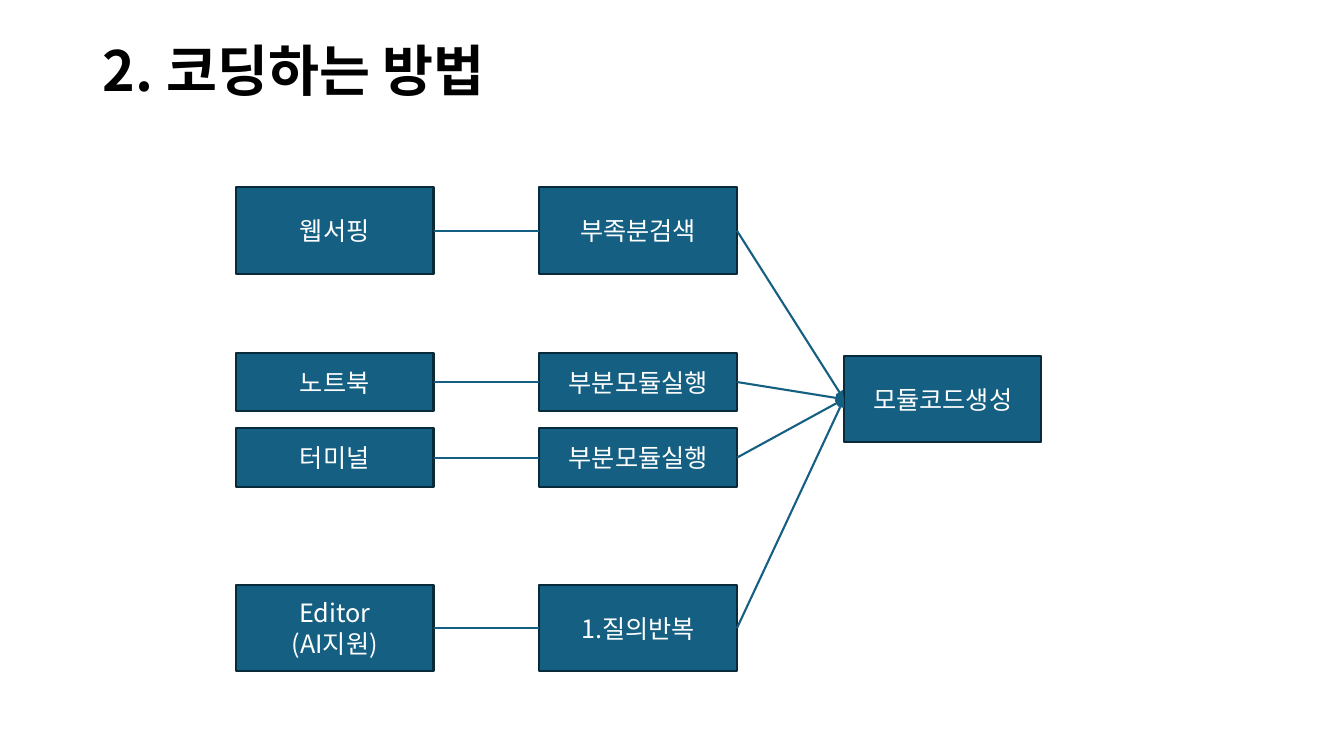
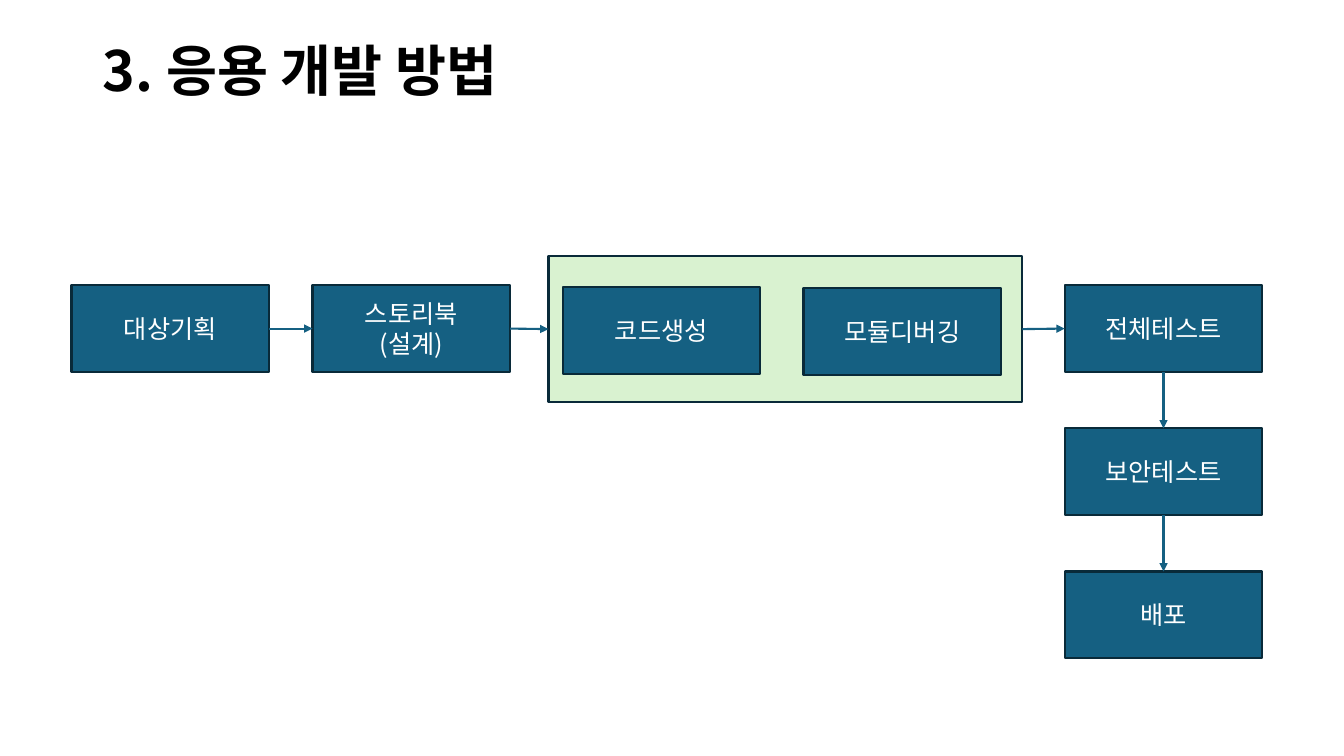
import dataclasses

import pptx
import pptx.dml.color
import pptx.enum.shapes
import pptx.enum.text
import pptx.oxml
import pptx.oxml.ns
import pptx.util

Inches = pptx.util.Inches
TOP, LEFT, BOTTOM, RIGHT = range(4)


@dataclasses.dataclass(frozen=True)
class Theme:
    font: str = "Noto Sans CJK KR"
    title_color: str = "000000"
    box_fill: str = "156082"
    box_line: str = "092A39"
    box_text: str = "FFFFFF"
    frame_fill: str = "D9F2D0"
    connector: str = "156082"
    title_size: float = 39.6
    box_size: float = 18
    line_width: float = 1.5


def rgb(color):
    return pptx.dml.color.RGBColor.from_string(color)


class Deck:
    """Holds the presentation, its theme and the slide being drawn."""

    BOX_WIDTH, BOX_HEIGHT = 1.96, 0.86

    def __init__(self, theme):
        self.theme = theme
        self.presentation = pptx.Presentation()
        self.presentation.slide_width = Inches(13.33)
        self.presentation.slide_height = Inches(7.5)
        self.slide = None

    def new_slide(self, title):
        layout = self.presentation.slide_layouts[6]
        self.slide = self.presentation.slides.add_slide(layout)
        shape = self.slide.shapes.add_textbox(
            Inches(0.92), Inches(0.4), Inches(8.41), Inches(0.66))
        self.set_text(shape, title, self.theme.title_size, self.theme.title_color,
                      pptx.enum.text.PP_ALIGN.LEFT, bold=True)
        shape.text_frame.paragraphs[0].line_spacing = 0.9

    def set_text(self, shape, text, size, color, alignment, bold=False):
        frame = shape.text_frame
        frame.text = text
        frame.word_wrap = True
        frame.vertical_anchor = pptx.enum.text.MSO_ANCHOR.MIDDLE
        for paragraph in frame.paragraphs:
            paragraph.alignment = alignment
            for run in paragraph.runs:
                run.font.name = self.theme.font
                run.font.size = pptx.util.Pt(size)
                run.font.bold = bold
                run.font.color.rgb = rgb(color)
                # Korean glyphs take the East Asian typeface
                properties = run.font._element
                east_asian = pptx.oxml.parse_xml(
                    f'<a:ea {pptx.oxml.ns.nsdecls("a")} typeface="{self.theme.font}"/>')
                properties.find(pptx.oxml.ns.qn("a:latin")).addnext(east_asian)

    def rectangle(self, left, top, width, height, fill):
        shape = self.slide.shapes.add_shape(
            pptx.enum.shapes.MSO_SHAPE.RECTANGLE,
            Inches(left), Inches(top), Inches(width), Inches(height))
        shape.shadow.inherit = False
        shape.fill.solid()
        shape.fill.fore_color.rgb = rgb(fill)
        shape.line.color.rgb = rgb(self.theme.box_line)
        shape.line.width = pptx.util.Pt(self.theme.line_width)
        return shape

    def box(self, text, left, top, height=BOX_HEIGHT):
        shape = self.rectangle(left, top, self.BOX_WIDTH, height, self.theme.box_fill)
        self.set_text(shape, text, self.theme.box_size, self.theme.box_text,
                      pptx.enum.text.PP_ALIGN.CENTER)
        return shape

    def connect(self, source, target, sides=(RIGHT, LEFT), arrow=True):
        connector = self.slide.shapes.add_connector(
            pptx.enum.shapes.MSO_CONNECTOR.STRAIGHT, 0, 0, 0, 0)
        connector.begin_connect(source, sides[0])
        connector.end_connect(target, sides[1])
        connector.line.color.rgb = rgb(self.theme.connector)
        connector.line.width = pptx.util.Pt(self.theme.line_width)
        namespace = pptx.oxml.ns.nsdecls("a")
        if arrow:
            connector.line._get_or_add_ln().append(
                pptx.oxml.parse_xml(f'<a:tailEnd {namespace} type="triangle"/>'))
        connector._element.spPr.append(
            pptx.oxml.parse_xml(f"<a:effectLst {namespace}/>"))


def coding_methods(deck):
    deck.new_slide("2. 코딩하는 방법")
    tool_left, step_left, result_left = 2.34, 5.35, 8.37
    result = deck.box("모듈코드생성", result_left, 3.53)
    rows = [
        ("웹서핑", "부족분검색", 1.86, 0.86),
        ("노트북", "부분모듈실행", 3.5, 0.58),
        ("터미널", "부분모듈실행", 4.25, 0.58),
        ("Editor\n(AI지원)", "1.질의반복", 5.8, 0.86),
    ]
    for tool_text, step_text, top, height in rows:
        tool = deck.box(tool_text, tool_left, top, height)
        step = deck.box(step_text, step_left, top, height)
        deck.connect(tool, step, arrow=False)
        deck.connect(step, result)


def application_development(deck):
    deck.new_slide("3. 응용 개발 방법")
    row_top, test_left, test_pitch = 2.83, 10.56, 1.42
    build_frame = deck.rectangle(5.44, 2.54, 4.7, 1.45, deck.theme.frame_fill)
    deck.box("코드생성", 5.58, 2.85)
    deck.box("모듈디버깅", 7.97, 2.86)
    plan = deck.box("대상기획", 0.71, row_top)
    design = deck.box("스토리북\n(설계)", 3.1, row_top)
    tests = [deck.box(text, test_left, row_top + test_pitch * index)
             for index, text in enumerate(["전체테스트", "보안테스트", "배포"])]

    flow = [plan, design, build_frame, tests[0]]
    for source, target in zip(flow, flow[1:]):
        deck.connect(source, target)
    for source, target in zip(tests, tests[1:]):
        deck.connect(source, target, sides=(BOTTOM, TOP))


def main():
    deck = Deck(Theme())
    coding_methods(deck)
    application_development(deck)
    deck.presentation.save("out.pptx")


if __name__ == "__main__":
    main()
